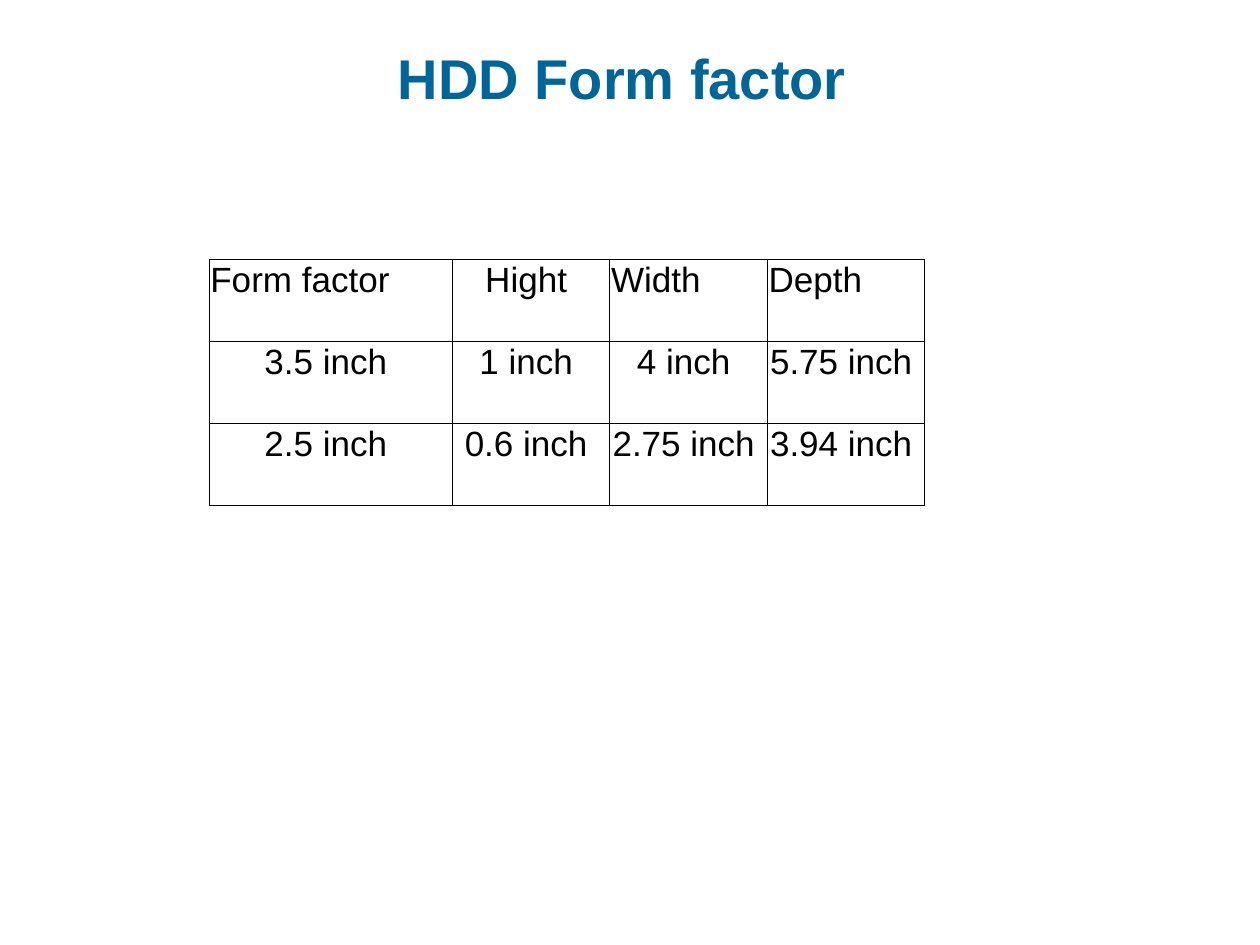
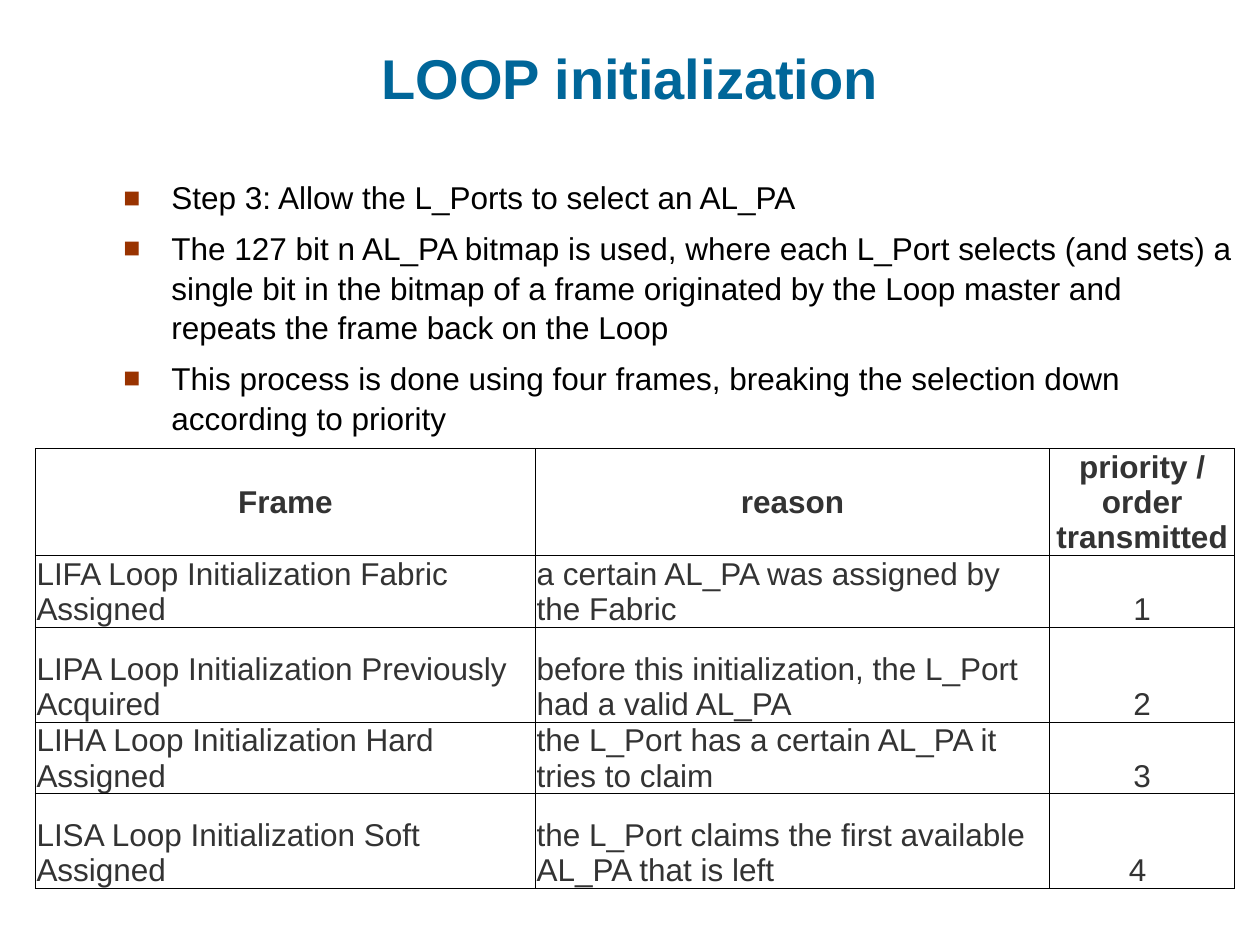
from lxml import etree
from pptx import Presentation
from pptx.dml.color import RGBColor
from pptx.enum.text import MSO_ANCHOR, MSO_AUTO_SIZE, PP_ALIGN
from pptx.oxml.ns import qn
from pptx.util import Inches, Pt

LEFT, MID = PP_ALIGN.LEFT, PP_ALIGN.CENTER
TOP, CENTER, BOTTOM = MSO_ANCHOR.TOP, MSO_ANCHOR.MIDDLE, MSO_ANCHOR.BOTTOM
FONT = "Arial"
HUES = {"title": "006699", "text": "000000", "cell": "333333",
        "mark": "993300", "rule": "000000"}

# Content
DISKS = {
    "title": "HDD Form factor ",
    "rows": [
        ("Form factor", "Hight ", "Width", "Depth"),
        ("3.5 inch ", "1 inch ", "4 inch ", "5.75 inch "),
        ("2.5 inch ", "0.6 inch ", "2.75 inch ", "3.94 inch "),
    ],
    "at": (1.66, 2.06),
    "wide": [1.93] + [1.25] * 3,
    "high": [0.65] * 3,
}
LOOP = {
    "title": "LOOP initialization",
    "steps": [
        "Step 3: Allow the L_Ports to select an AL_PA",
        "The 127 bit n AL_PA bitmap is used, where each L_Port selects "
        "(and sets) a single bit in the bitmap of a frame originated by "
        "the Loop master and repeats the frame back on the Loop",
        "This process is done using four frames, breaking the selection "
        "down according to priority",
    ],
    "rows": [
        ("Frame", "reason", "priority / order transmitted"),
        ("LIFA Loop Initialization Fabric Assigned",
         "a certain AL_PA was assigned by the Fabric", "1"),
        ("LIPA Loop Initialization Previously Acquired",
         "before this initialization, the L_Port had a valid AL_PA", "2"),
        ("LIHA Loop Initialization Hard Assigned",
         "the L_Port has a certain AL_PA it tries to claim", "3"),
        ("LISA Loop Initialization Soft Assigned",
         "the L_Port claims the first available AL_PA that is left", "4 "),
    ],
    "at": (0.28, 3.56),
    "wide": [3.97, 4.08, 1.47],
    "high": [0.75, 0.38, 0.75, 0.38, 0.75],
}


def write(frame, lines, size=18, hue="text", bold=False, align=LEFT,
          gap=0, pitch=None, mark=None):
    """Fill a text frame, one paragraph a line."""
    for i, line in enumerate(lines):
        para = frame.paragraphs[0] if i == 0 else frame.add_paragraph()
        if mark:
            add_mark(para, mark)
        para.alignment = align
        para.space_before = Pt(gap if i else 0)
        if pitch:
            para.line_spacing = pitch
        run = para.add_run()
        run.text = line
        font = run.font
        font.name, font.size, font.bold = FONT, Pt(size), bold
        font.color.rgb = RGBColor.from_string(HUES[hue])


def add_mark(para, mark):
    """Hang a coloured bullet in front of a paragraph."""
    props = para._p.get_or_add_pPr()
    props.set("marL", str(Inches(0.38)))
    props.set("indent", str(Inches(-0.38)))
    tint = etree.SubElement(props, qn("a:buClr"))
    etree.SubElement(tint, qn("a:srgbClr"), val=HUES["mark"])
    etree.SubElement(props, qn("a:buSzPct"), val="90000")
    etree.SubElement(props, qn("a:buFont"), typeface=FONT)
    etree.SubElement(props, qn("a:buChar"), char=mark)


def place(shape, *box):
    shape.left, shape.top, shape.width, shape.height = map(Inches, box)
    frame = shape.text_frame
    frame.word_wrap = True
    frame.auto_size = MSO_AUTO_SIZE.NONE
    return frame


def add_slide(deck, kind, title):
    slide = deck.slides.add_slide(deck.slide_layouts[kind])
    frame = place(slide.shapes.title, 0.5, 0.3, 9, 0.63)
    frame.vertical_anchor = BOTTOM
    write(frame, [title], size=32, hue="title", bold=True, align=MID)
    return slide


def add_rules(cell):
    """Draw a thin line on each side of a cell."""
    props = cell._tc.get_or_add_tcPr()
    for i, side in enumerate("LRTB"):
        line = etree.Element(qn("a:ln" + side), w=str(Pt(0.5)))
        fill = etree.SubElement(line, qn("a:solidFill"))
        etree.SubElement(fill, qn("a:srgbClr"), val=HUES["rule"])
        props.insert(i, line)


def add_grid(slide, data, style):
    """Add a table; style(row, col) gives the anchor and text format."""
    rows, wide, high = data["rows"], data["wide"], data["high"]
    box = (*data["at"], sum(wide), sum(high))
    table = slide.shapes.add_table(len(rows), len(wide),
                                   *map(Inches, box)).table
    table.first_row = table.horz_banding = False
    for col, size in zip(table.columns, wide):
        col.width = Inches(size)
    for row, size in zip(table.rows, high):
        row.height = Inches(size)
    for r, row in enumerate(rows):
        for c, text in enumerate(row):
            cell = table.cell(r, c)
            cell.fill.background()
            add_rules(cell)
            cell.margin_left = cell.margin_right = Inches(0.01)
            cell.margin_top, cell.margin_bottom = Inches(0.01), 0
            anchor, form = style(r, c)
            cell.vertical_anchor = anchor
            write(cell.text_frame, [text], **form)


def disk_style(r, c):
    return TOP, {"size": 20, "align": MID if r or c == 1 else LEFT}


def loop_style(r, c):
    head = r == 0
    return (CENTER if head else BOTTOM,
            {"hue": "cell", "bold": head,
             "align": MID if head or c == 2 else LEFT})


def main():
    deck = Presentation()
    deck.slide_width, deck.slide_height = Inches(10), Inches(7.5)

    # Disk sizes
    slide = add_slide(deck, 5, DISKS["title"])
    add_grid(slide, DISKS, disk_style)

    # Loop steps and frames
    slide = add_slide(deck, 1, LOOP["title"])
    body = place(slide.placeholders[1], 0.88, 1.35, 9, 2.15)
    write(body, LOOP["steps"], gap=6.3, pitch=1.05, mark="■")
    add_grid(slide, LOOP, loop_style)

    deck.save("out.pptx")


if __name__ == "__main__":
    main()
